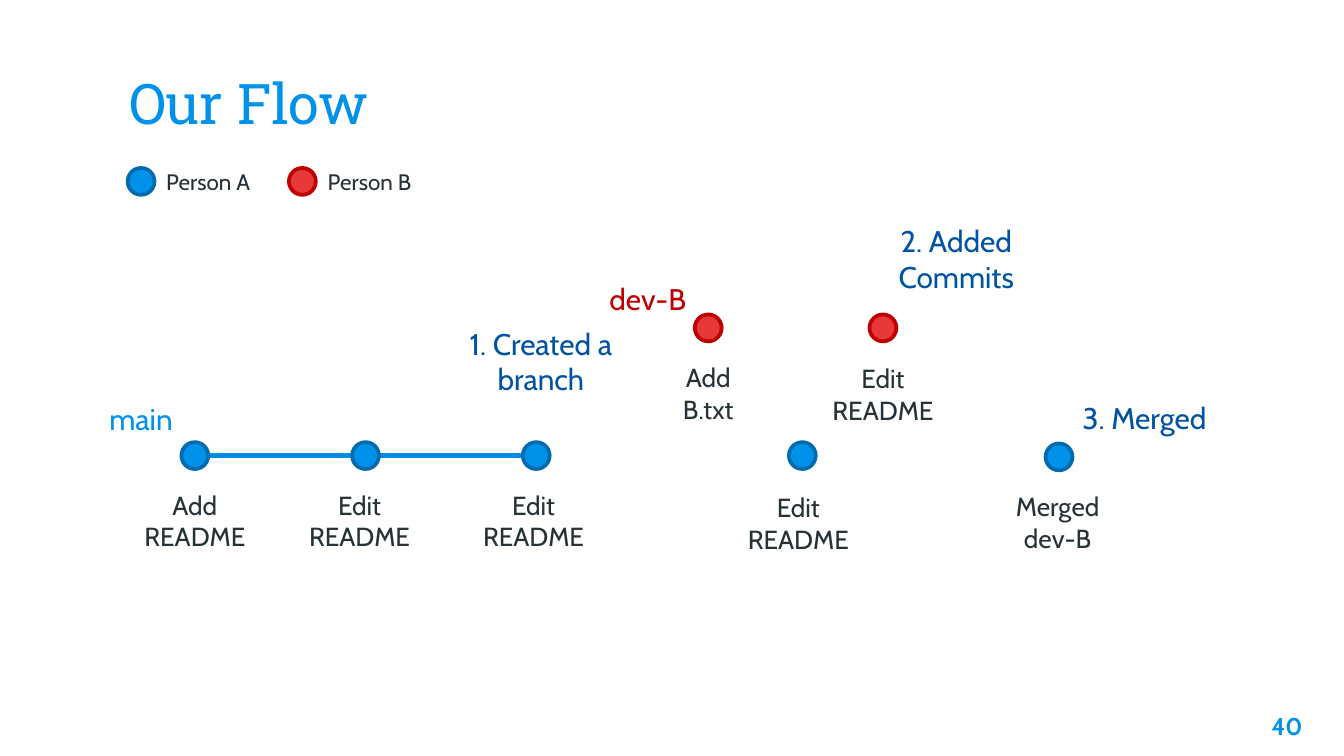
import pptx
import pptx.dml.color
import pptx.enum.shapes
import pptx.enum.text
import pptx.oxml
import pptx.oxml.ns
import pptx.util

Inches = pptx.util.Inches
Pt = pptx.util.Pt
RGBColor = pptx.dml.color.RGBColor
MSO_SHAPE = pptx.enum.shapes.MSO_SHAPE
MSO_ANCHOR = pptx.enum.text.MSO_ANCHOR
PP_ALIGN = pptx.enum.text.PP_ALIGN

BLUE = RGBColor(0x00, 0x91, 0xEA)
BLUE_EDGE = RGBColor(0x00, 0x6B, 0xAD)
BRANCH_BLUE = RGBColor(0x00, 0x8E, 0xE5)
STEP_BLUE = RGBColor(0x00, 0x53, 0xA3)
RED = RGBColor(0xE7, 0x39, 0x39)
RED_EDGE = RGBColor(0xC0, 0x00, 0x00)
DARK = RGBColor(0x26, 0x32, 0x38)

PERSON_A = (BLUE, BLUE_EDGE)
PERSON_B = (RED, RED_EDGE)
DOT_SIZE = 0.2

presentation = pptx.Presentation()
presentation.slide_width = Inches(10)
presentation.slide_height = Inches(10 * 9 / 16)
slide = presentation.slides.add_slide(presentation.slide_layouts[5])


def write_text(shape, lines, size, color, font="Cabin", align=PP_ALIGN.CENTER,
               anchor=MSO_ANCHOR.TOP, bold=False):
    """Fill a shape with one paragraph per line, all in one style."""
    frame = shape.text_frame
    frame.word_wrap = True
    frame.auto_size = pptx.enum.text.MSO_AUTO_SIZE.NONE
    frame.vertical_anchor = anchor
    frame.margin_left = frame.margin_right = Inches(0.1)
    frame.margin_top = frame.margin_bottom = Inches(0.1)
    for index, line in enumerate(lines):
        paragraph = frame.paragraphs[0] if index == 0 else frame.add_paragraph()
        paragraph.alignment = align
        run = paragraph.add_run()
        run.text = line
        run.font.name = font
        run.font.size = Pt(size)
        run.font.bold = bold
        run.font.color.rgb = color


def add_dot(left, top, person):
    fill_color, edge_color = person
    dot = slide.shapes.add_shape(MSO_SHAPE.OVAL, Inches(left), Inches(top),
                                 Inches(DOT_SIZE), Inches(DOT_SIZE))
    dot.shadow.inherit = False
    dot.fill.solid()
    dot.fill.fore_color.rgb = fill_color
    dot.line.color.rgb = edge_color
    dot.line.width = Pt(2)


# Title and page number
title = slide.shapes.title
title.left, title.top = Inches(0.86), Inches(0.34)
title.width, title.height = Inches(8.28), Inches(0.77)
write_text(title, ["Our Flow"], 30, BLUE, font="Roboto Slab",
           align=PP_ALIGN.LEFT, anchor=MSO_ANCHOR.BOTTOM)

page_number = slide.shapes.add_textbox(Inches(9.19), Inches(5.19), Inches(0.6), Inches(0.43))
write_text(page_number, ["40"], 13, BLUE, align=PP_ALIGN.RIGHT, bold=True)

# Main branch, behind its commits
main_branch = slide.shapes.add_connector(
    pptx.enum.shapes.MSO_CONNECTOR.STRAIGHT,
    Inches(1.35), Inches(3.39), Inches(4.09), Inches(3.39))
main_branch.line.color.rgb = BRANCH_BLUE
main_branch.line.width = Pt(2.25)
main_branch._element.spPr.append(
    pptx.oxml.parse_xml("<a:effectLst %s/>" % pptx.oxml.ns.nsdecls("a")))

# Legend
for left, name, person in [(0.95, "Person A", PERSON_A), (2.15, "Person B", PERSON_B)]:
    add_dot(left, 1.25, person)
    legend_label = slide.shapes.add_textbox(Inches(left + 0.1), Inches(1.15),
                                            Inches(1), Inches(0.32))
    write_text(legend_label, [name], 12, DARK)

# Commits: dot left, dot top, person, label left, label top, label width, label lines
commits = [
    (1.35, 3.29, PERSON_A, 0.95, 3.54, 1, ["Add README"]),
    (2.62, 3.29, PERSON_A, 2.09, 3.54, 1.17, ["Edit", "README"]),
    (3.89, 3.29, PERSON_A, 3.47, 3.54, 1, ["Edit", "README"]),
    (5.17, 2.34, PERSON_B, 4.77, 2.59, 1, ["Add", "B.txt"]),
    (6.47, 2.34, PERSON_B, 6.07, 2.6, 1, ["Edit", "README"]),
    (5.87, 3.29, PERSON_A, 5.44, 3.56, 1, ["Edit", "README"]),
    (7.78, 3.3, PERSON_A, 7.37, 3.55, 1, ["Merged", "dev-B"]),
]
for dot_left, dot_top, person, left, top, width, lines in commits:
    add_dot(dot_left, dot_top, person)
    commit_label = slide.shapes.add_textbox(Inches(left), Inches(top),
                                            Inches(width), Inches(0.6))
    write_text(commit_label, lines, 14, DARK)

# Branch names and numbered steps: left, top, width, height, lines, color
captions = [
    (0.55, 2.88, 1, 0.42, ["main"], BLUE),
    (4.32, 1.99, 1, 0.42, ["dev-B"], RED_EDGE),
    (3.35, 2.32, 1.35, 0.6, ["1. Created a branch"], STEP_BLUE),
    (6.44, 1.56, 1.35, 0.6, ["2. Added", "Commits"], STEP_BLUE),
    (7.84, 2.87, 1.35, 0.32, ["3. Merged"], STEP_BLUE),
]
for left, top, width, height, lines, color in captions:
    caption = slide.shapes.add_textbox(Inches(left), Inches(top), Inches(width), Inches(height))
    write_text(caption, lines, 16, color)

presentation.save("out.pptx")
